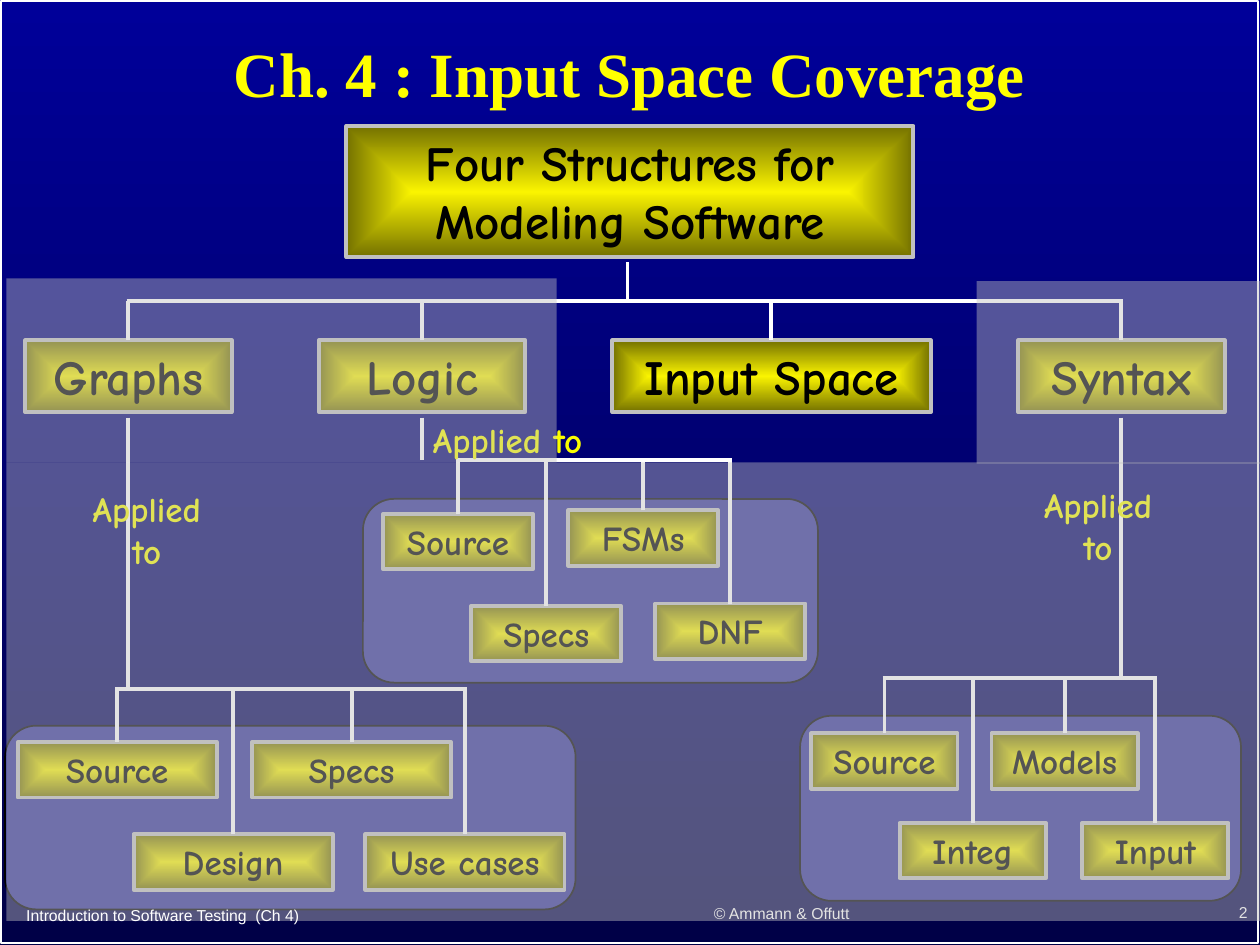
from collections import namedtuple
from dataclasses import dataclass

from lxml.etree import SubElement
from pptx import Presentation
from pptx.dml.color import RGBColor as RGB
from pptx.enum.shapes import MSO_CONNECTOR as Link, MSO_SHAPE as Kind
from pptx.enum.text import MSO_ANCHOR as Anchor, PP_ALIGN as Align
from pptx.oxml.ns import qn
from pptx.util import Pt

Box = namedtuple("Box", "x y w h")


@dataclass(frozen=True)
class Theme:
    white: str = "FFFFFF"
    black: str = "000000"
    title: str = "FFFF00"
    label: str = "FAFD00"
    glow: str = "FAF400"
    edge: str = "747100"
    gray: str = "C0C0C0"
    panel: str = "333399"
    top: str = "000099"
    base: str = "000047"
    serif: str = "Times New Roman"
    comic: str = "Comic Neue"
    sans: str = "Arial"
    huge: int = 36
    large: int = 28
    mid: int = 20
    tiny: int = 9
    rule: float = 2.25
    thin: float = 1
    veil: int = 44


T = Theme()


def pts(*vals):
    return [Pt(v) for v in vals]


def blend(fill, first, last):
    fill.gradient()
    for stop, tone in zip(fill.gradient_stops, (first, last)):
        stop.color.rgb = RGB.from_string(tone)


def write(shape, text, size, font, tone, bold=True, align=Align.CENTER,
          anchor=Anchor.TOP, wrap=True):
    frame = shape.text_frame
    frame.word_wrap = wrap
    frame.vertical_anchor = anchor
    para = frame.paragraphs[0]
    para.text = text
    para.alignment = align
    para.font.size = Pt(size)
    para.font.name = font
    para.font.bold = bold
    para.font.color.rgb = RGB.from_string(tone)
    return para


def block(slide, box, kind=Kind.RECTANGLE, fill=None, line=None, width=T.thin):
    shape = slide.shapes.add_shape(kind, *pts(*box))
    shape.shadow.inherit = False
    if fill:
        shape.fill.solid()
        shape.fill.fore_color.rgb = RGB.from_string(fill)
    else:
        shape.fill.background()
    if line:
        shape.line.color.rgb = RGB.from_string(line)
        shape.line.width = Pt(width)
    else:
        shape.line.fill.background()
    return shape


def tile(slide, box, text, size):
    """Gold plate whose gradient runs from its centre to its edges."""
    shape = block(slide, box, line=T.gray, width=T.rule)
    blend(shape.fill, T.glow, T.edge)
    grad = shape.element.spPr.find(qn("a:gradFill"))
    grad.remove(grad.find(qn("a:lin")))
    focus = SubElement(grad, qn("a:path"), {"path": "rect"})
    SubElement(focus, qn("a:fillToRect"), dict.fromkeys("ltrb", "50000"))
    write(shape, text, size, T.comic, T.black)


def wire(slide, x1, y1, x2, y2):
    line = slide.shapes.add_connector(Link.STRAIGHT, *pts(x1, y1, x2, y2))
    line.line.color.rgb = RGB.from_string(T.white)
    line.line.width = Pt(T.rule)
    SubElement(line.element.spPr, qn("a:effectLst"))


def note(slide, box, *args, **opts):
    return write(slide.shapes.add_textbox(*pts(*box)), *args, **opts)


def veil(slide, box):
    shape = block(slide, box, fill=T.gray)
    tone = shape.element.spPr.find(qn("a:solidFill"))[0]
    SubElement(tone, qn("a:alpha"), {"val": str(T.veil * 1000)})


def tree(slide, box, root, kinds):
    """Root plate at the top of the box, four kinds along its foot."""
    bar, row = box.y + 100, box.y + 122.5
    tile(slide, Box(box.x + 183.6, box.y, 324, 75), root, T.large)
    for name, x, w, _ in kinds:
        tile(slide, Box(box.x + x, row, w, 41), name, T.large)
    drops = [box.x + drop for *_, drop in kinds]
    wire(slide, drops[0] - 1, bar, drops[-1] + 1, bar)
    for x in drops:
        wire(slide, x, bar, x, row)
    trunk = box.x + 344.2
    wire(slide, trunk, bar - 22, trunk, bar)


def cluster(slide, box, wide, tiles, stem, gap, label):
    """Panel of plates hung from a bar, gap above it, that a stem feeds."""
    panel = block(slide, box, Kind.ROUNDED_RECTANGLE, T.panel, T.black)
    panel.adjustments[0] = 0.17
    for name, x, y in tiles:
        tile(slide, Box(box.x + x, box.y + y, wide, 31.7), name, T.mid)
    bar = box.y - gap
    drops = [box.x + x + wide / 2 for _, x, _ in tiles]
    wire(slide, stem, 238.7, stem, bar)
    wire(slide, drops[0] - 1, bar, drops[-1] + 1, bar)
    for x, (_, _, y) in zip(drops, tiles):
        wire(slide, x, box.y + y, x, bar)
    note(slide, label, "Applied to", T.mid, T.comic, T.label)


def footer(slide, box, text, align):
    note(slide, box, text, T.tiny, T.sans, T.white, bold=False, align=align,
         anchor=Anchor.MIDDLE, wrap=False)


def main():
    deck = Presentation()
    deck.slide_width, deck.slide_height = pts(720, 540)
    slide = deck.slides.add_slide(deck.slide_layouts[6])
    blend(slide.background.fill, T.top, T.base)
    slide.background.fill.gradient_angle = 270

    block(slide, Box(0.7, 0.7, 718, 538), line=T.white)
    footer(slide, Box(332.6, 507.6, 228.2, 28), "© Ammann & Offutt", Align.CENTER)
    footer(slide, Box(570.2, 506.9, 149.8, 28.8), "2", Align.RIGHT)
    head = note(slide, Box(10.8, 7.9, 697.7, 72), "Ch. 4 : Input Space Coverage",
                T.huge, T.serif, T.title, anchor=Anchor.MIDDLE)
    head.line_spacing = 0.9

    tree(slide, Box(14.4, 72, 686, 164), "Four Structures for Modeling Software", [
        ("Graphs", 0, 118, 59), ("Logic", 167.8, 118, 226.8),
        ("Input Space", 335.5, 182, 426.2), ("Syntax", 567.4, 118, 626.4)])

    cluster(slide, Box(2.9, 414.7, 326, 105), 113.8, [
        ("Source", 7.2, 9.4), ("Design", 73.4, 62),
        ("Specs", 141.1, 9.4), ("Use cases", 205.9, 62)],
        73.4, 20.9, Box(39.6, 275, 88.6, 55.4))
    cluster(slide, Box(207.4, 285.1, 260, 105), 85.7, [
        ("Source", 11.5, 8.6), ("Specs", 61.9, 61.2),
        ("FSMs", 117.3, 6.5), ("DNF", 167, 59.8)],
        241.2, 22.3, Box(227.5, 235.4, 125.3, 31.7))
    cluster(slide, Box(457.2, 409, 252, 105.8), 83.5, [
        ("Source", 6.5, 10), ("Integ", 56.9, 61.2),
        ("Models", 109.4, 10), ("Input", 161.3, 61.2)],
        640.8, 21.6, Box(583.2, 272.9, 88.6, 55.4))

    for box in (Box(3.6, 159.1, 314.6, 105.1), Box(3.6, 264.2, 716.4, 262.1),
                Box(558, 160.6, 162, 104.4)):
        veil(slide, box)
    footer(slide, Box(7.9, 509, 310.3, 27.4),
           "Introduction to Software Testing  (Ch 4)", Align.LEFT)
    deck.save("out.pptx")


if __name__ == "__main__":
    main()
